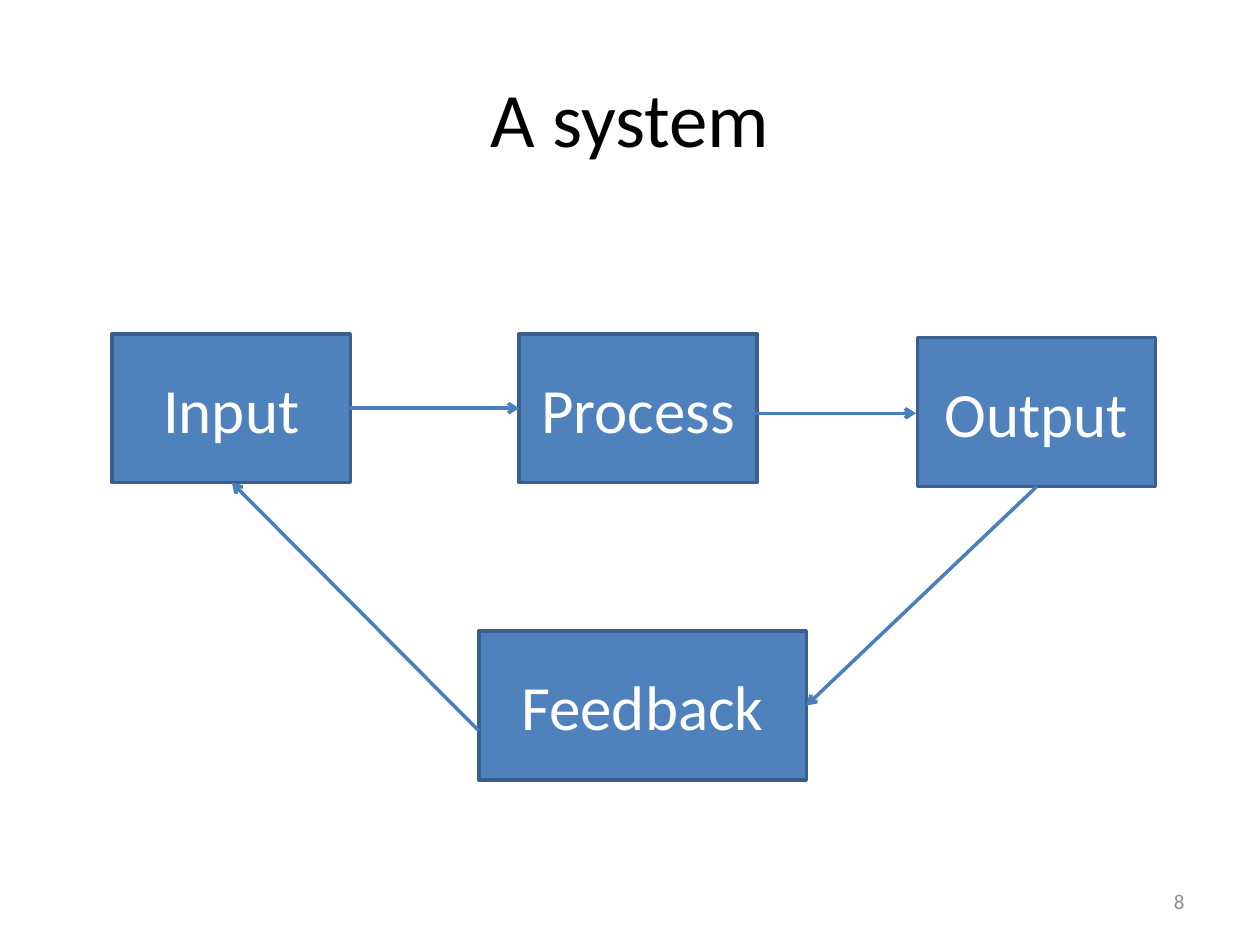
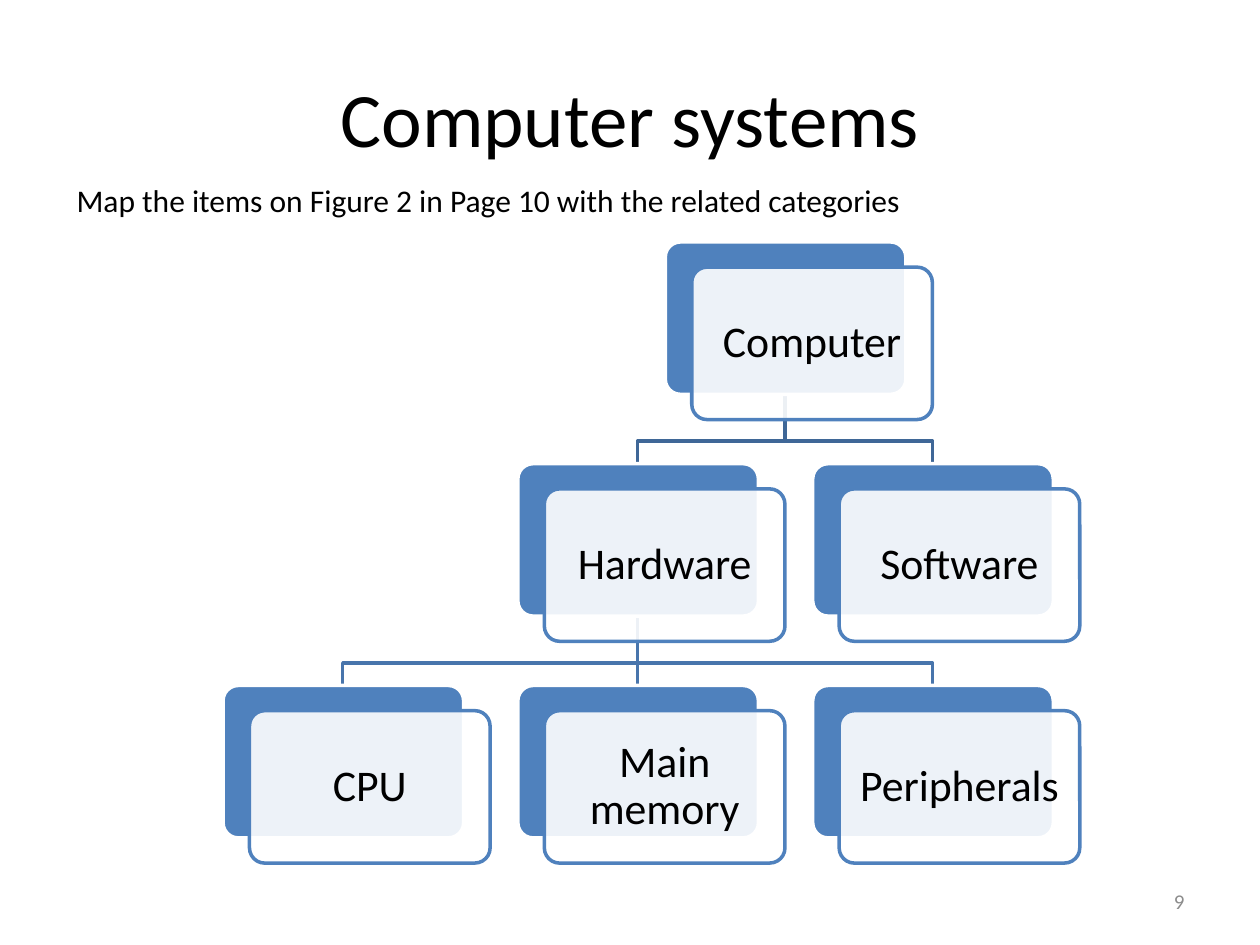
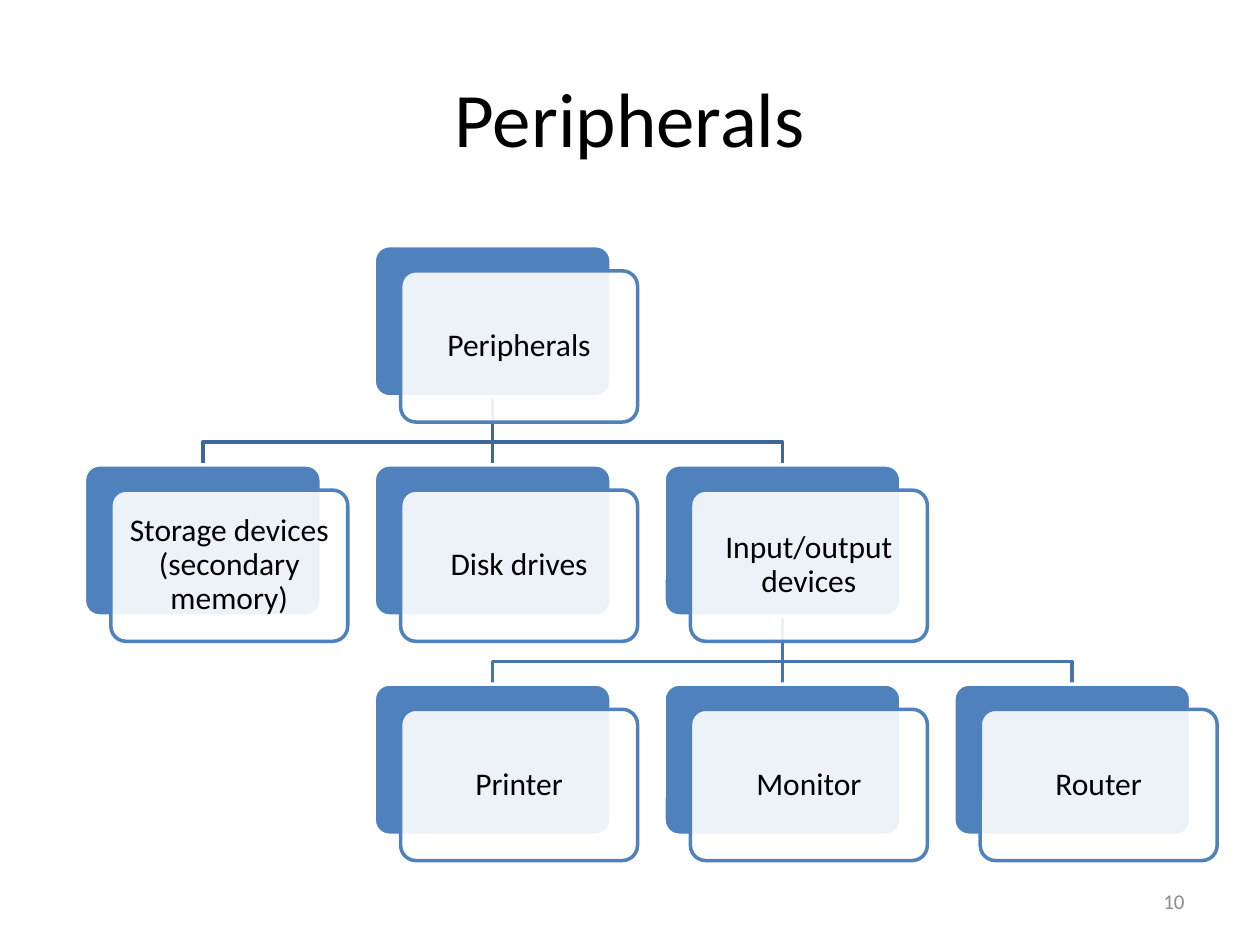
"""Build three slides on systems: a feedback loop and two hierarchies of computer parts."""
from dataclasses import dataclass

from lxml import etree
from pptx import Presentation
from pptx.dml.color import RGBColor
from pptx.enum.shapes import MSO_CONNECTOR, MSO_SHAPE
from pptx.enum.text import MSO_ANCHOR, PP_ALIGN
from pptx.oxml.ns import qn
from pptx.util import Pt

PX = 9144
STRAIGHT = MSO_CONNECTOR.STRAIGHT
RECTANGLE, ROUNDED = MSO_SHAPE.RECTANGLE, MSO_SHAPE.ROUNDED_RECTANGLE
TOP, MIDDLE = MSO_ANCHOR.TOP, MSO_ANCHOR.MIDDLE
LEFT, CENTER, RIGHT = PP_ALIGN.LEFT, PP_ALIGN.CENTER, PP_ALIGN.RIGHT


@dataclass(frozen=True)
class Theme:
    """Colours, type and line weight shared by the slides."""
    font: str = "Calibri"
    black: RGBColor = RGBColor.from_string("000000")
    white: RGBColor = RGBColor.from_string("FFFFFF")
    grey: RGBColor = RGBColor.from_string("8C8C8C")
    blue: RGBColor = RGBColor.from_string("4F81BD")
    outline: RGBColor = RGBColor.from_string("3A5F8C")
    arrow: RGBColor = RGBColor.from_string("4B7EBC")
    links: tuple = (RGBColor.from_string("3F6797"), RGBColor.from_string("4875AC"))
    title_size: int = 44
    stage_size: int = 36
    caption_size: int = 18
    number_size: int = 12
    stroke: int = Pt(2)


THEME = Theme()


def write_text(holder, text, size, color, align=CENTER, anchor=MIDDLE, wrap=True, **frame_format):
    """Fill a shape or text box with one styled paragraph."""
    frame = holder.text_frame
    frame_format.update(word_wrap=wrap, vertical_anchor=anchor)
    for name, value in frame_format.items():
        setattr(frame, name, value)
    paragraph = frame.paragraphs[0]
    paragraph.alignment = align
    run = paragraph.add_run()
    run.text = text
    for name, value in {"name": THEME.font, "size": Pt(size)}.items():
        setattr(run.font, name, value)
    run.font.color.rgb = color
    return paragraph


def draw_line(slide, start, end, color, arrow=False):
    """Draw a straight line between two points, with an optional arrowhead."""
    line = slide.shapes.add_connector(STRAIGHT, *(PX * value for value in (*start, *end)))
    line.line.color.rgb = color
    line.line.width = THEME.stroke
    if arrow:
        etree.SubElement(line.line._get_or_add_ln(), qn("a:tailEnd"), type="arrow")
    etree.SubElement(line._element.spPr, qn("a:effectLst"))


presentation = Presentation()
presentation.slide_width, presentation.slide_height = 1000 * PX, 750 * PX

slides = []
for number, title in enumerate(("A system", "Computer systems", "Peripherals"), 8):
    slide = presentation.slides.add_slide(presentation.slide_layouts[6])
    title_box = slide.shapes.add_textbox(50 * PX, 30 * PX, 900 * PX, 125 * PX)
    write_text(title_box, title, THEME.title_size, THEME.black)
    number_box = slide.shapes.add_textbox(717 * PX, 695 * PX, 233 * PX, 40 * PX)
    write_text(number_box, str(number), THEME.number_size, THEME.grey, RIGHT)
    slides.append(slide)
system_slide, computer_slide, peripherals_slide = slides

stages = (
    ("Input", 89, 265, 189),
    ("Process", 412, 265, 189),
    ("Output", 728, 268, 189),
    ("Feedback", 380, 501, 260),
)
for text, left, top, width in stages:
    stage = system_slide.shapes.add_shape(RECTANGLE, left * PX, top * PX, width * PX, 118 * PX)
    stage.shadow.inherit = False
    stage.fill.solid()
    stage.fill.fore_color.rgb = THEME.blue
    stage.line.color.rgb = THEME.outline
    stage.line.width = THEME.stroke
    write_text(stage, text, THEME.stage_size, THEME.white)

flows = (
    ((278, 324), (412, 324)),
    ((593, 328), (727, 328)),
    ((380, 580), (184, 383)),
    ((823, 386), (640, 560)),
)
for start, end in flows:
    draw_line(system_slide, start, end, THEME.arrow, arrow=True)

caption = computer_slide.shapes.add_textbox(51 * PX, 139 * PX, 676 * PX, 40 * PX)
write_text(caption, "Map the items on Figure 2 in Page 10 with the related categories",
           THEME.caption_size, THEME.black, LEFT, TOP, wrap=False)

hierarchies = (
    {
        "slide": computer_slide, "origin": (177, 192), "pitch": (234, 176),
        "card": (191, 121), "size": 25, "inset": 10,
        "nodes": {
            "Computer": (1.5, 0, None),
            "Hardware": (1, 1, "Computer"),
            "CPU": (0, 2, "Hardware"),
            "Main memory": (1, 2, "Hardware"),
            "Peripherals": (2, 2, "Hardware"),
            "Software": (2, 1, "Computer"),
        },
    },
    {
        "slide": peripherals_slide, "origin": (67, 195), "pitch": (230, 174),
        "card": (188, 120), "size": 18, "inset": 7,
        "nodes": {
            "Peripherals": (1, 0, None),
            "Storage devices (secondary memory)": (0, 1, "Peripherals"),
            "Disk drives": (1, 1, "Peripherals"),
            "Input/output devices": (2, 1, "Peripherals"),
            "Printer": (1, 2, "Input/output devices"),
            "Monitor": (2, 2, "Input/output devices"),
            "Router": (3, 2, "Input/output devices"),
        },
    },
)
for tree in hierarchies:
    slide = tree["slide"]
    width, height = tree["card"]
    corners = {
        text: [int(start + step * index)
               for start, step, index in zip(tree["origin"], tree["pitch"], (column, row))]
        for text, (column, row, _) in tree["nodes"].items()
    }

    for text, (_, row, parent) in tree["nodes"].items():
        if parent is None:
            continue
        left, child_y = corners[text]
        parent_left, parent_top = corners[parent]
        child_x, parent_x = left + width // 2, parent_left + width // 2
        parent_y, bend_y = parent_top + height, child_y - 18
        color = THEME.links[row - 1]
        if child_x == parent_x:
            draw_line(slide, (parent_x, parent_y), (child_x, child_y), color)
            continue
        outline = slide.shapes.build_freeform(parent_x, parent_y, scale=PX)
        outline.add_line_segments(
            ((parent_x, bend_y), (child_x, bend_y), (child_x, child_y)), close=False)
        link = outline.convert_to_shape()
        link.shadow.inherit = False
        link.fill.background()
        link.line.color.rgb = color
        link.line.width = THEME.stroke

    margins = {f"margin_{side}": tree["inset"] * PX for side in ("left", "top", "right", "bottom")}
    for text, (left, top) in corners.items():
        layers = ((0, 0, THEME.blue, THEME.white), (21, 20, THEME.white, THEME.blue))
        for shift_x, shift_y, fill, edge in layers:
            card = slide.shapes.add_shape(
                ROUNDED, (left + shift_x) * PX, (top + shift_y) * PX, width * PX, height * PX)
            card.adjustments[0] = 0.1
            card.shadow.inherit = False
            card.fill.solid()
            card.fill.fore_color.rgb = fill
            card.line.color.rgb = edge
            card.line.width = THEME.stroke
        front_color = card._element.spPr.find(qn("a:solidFill"))[0]
        etree.SubElement(front_color, qn("a:alpha"), val="90000")
        label = write_text(card, text, tree["size"], THEME.black, **margins)
        label.line_spacing = 0.9

presentation.save("out.pptx")
